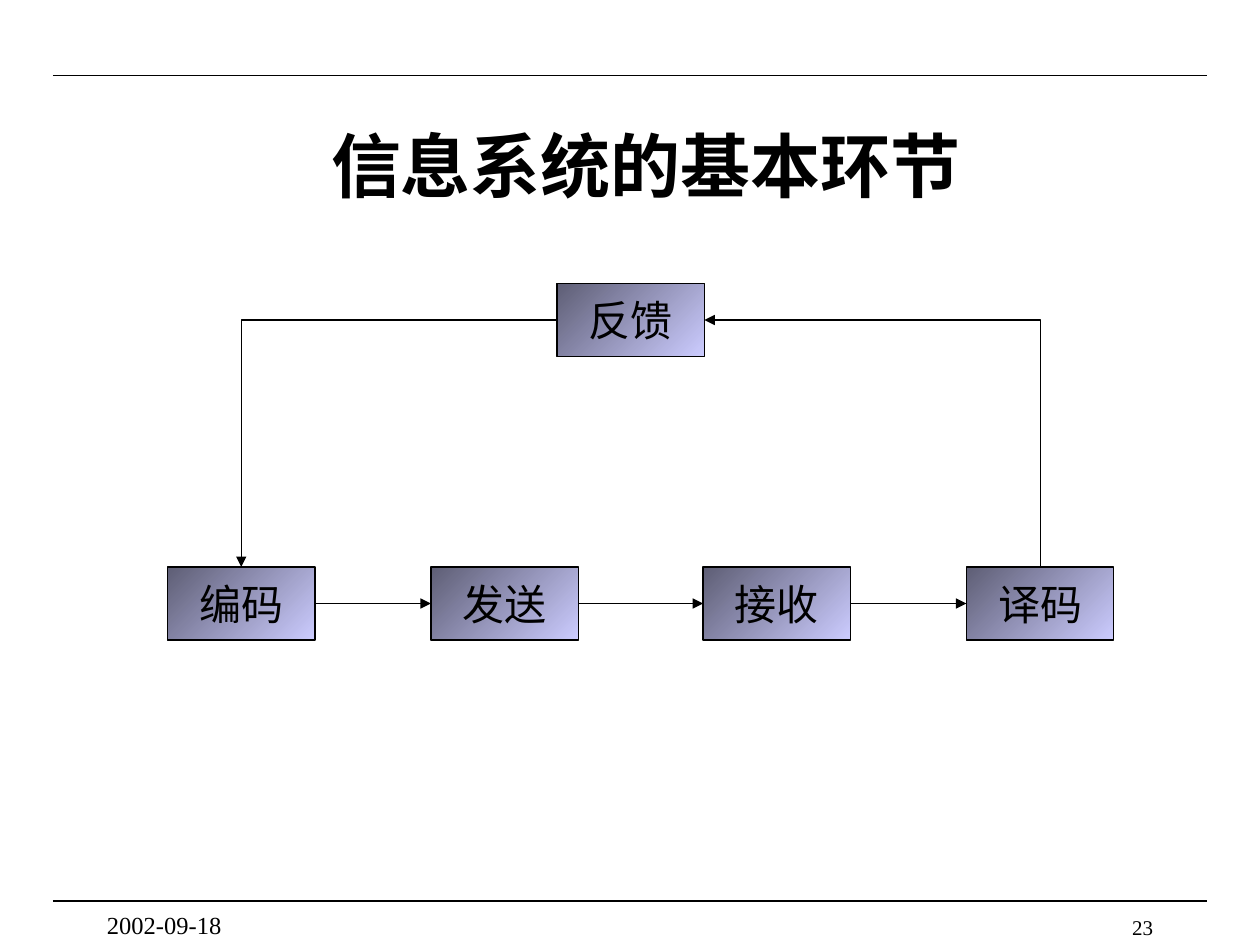
from pptx import Presentation
from pptx.dml.color import RGBColor
from pptx.enum.shapes import MSO_CONNECTOR, MSO_SHAPE
from pptx.enum.text import MSO_ANCHOR, PP_ALIGN
from pptx.oxml.ns import qn
from pptx.util import Inches, Pt
from lxml.etree import SubElement

BLACK = RGBColor(0x00, 0x00, 0x00)
LILAC = RGBColor(0xCC, 0xCC, 0xFF)
SLATE = RGBColor(0x5E, 0x5E, 0x75)
FACE = "Times New Roman"
BOX_W, BOX_H = 1.17, 0.58
TOP_Y, LOW_Y = 2.25, 4.5
STEPS = [("编码", 1.33), ("发送", 3.42), ("接收", 5.58), ("译码", 7.67)]


def write(frame, text, size, align, bold=False):
    para = frame.paragraphs[0]
    para.text = text
    para.alignment = align
    look = {"name": FACE, "size": Pt(size), "bold": bold}
    for key, value in look.items():
        setattr(para.font, key, value)
    para.font.color.rgb = BLACK


def add_title(slide, text, left, top, width, height):
    title = slide.shapes.title
    place = {"left": left, "top": top, "width": width, "height": height}
    for key, value in place.items():
        setattr(title, key, Inches(value))
    title.text_frame.vertical_anchor = MSO_ANCHOR.MIDDLE
    write(title.text_frame, text, 40, PP_ALIGN.CENTER, True)


def add_note(slide, text, size, align, left, top, width, height):
    box = slide.shapes.add_textbox(*map(Inches, (left, top, width, height)))
    box.text_frame.word_wrap = True
    write(box.text_frame, text, size, align)


def add_step(slide, text, left, top):
    box = slide.shapes.add_shape(
        MSO_SHAPE.FLOWCHART_PROCESS, *map(Inches, (left, top, BOX_W, BOX_H)))
    box.shadow.inherit = False
    box.fill.gradient()
    box.fill.gradient_angle = 135
    for stop, color in zip(box.fill.gradient_stops, (LILAC, SLATE)):
        stop.color.rgb = color
    box.line.color.rgb = BLACK
    box.line.width = Pt(0.75)
    box.text_frame.word_wrap = False
    box.text_frame.vertical_anchor = MSO_ANCHOR.MIDDLE
    write(box.text_frame, text, 24, PP_ALIGN.CENTER)
    return box


def add_line(slide, start, end, arrow=False, kind=MSO_CONNECTOR.STRAIGHT):
    line = slide.shapes.add_connector(kind, *start, *end)
    line.line.color.rgb = BLACK
    line.line.width = Pt(0.75)
    props = line._element.spPr
    if arrow:
        SubElement(props.find(qn("a:ln")), qn("a:tailEnd"), type="triangle")
    SubElement(props, qn("a:effectLst"))
    return line


def add_bend(slide, start, end):
    """Draw an arrow with a single corner, running across and then down."""
    line = add_line(slide, start, end, True, MSO_CONNECTOR.ELBOW)
    line._element.spPr.find(qn("a:prstGeom")).set("prst", "bentConnector2")
    return line


def add_rise(slide, start, end):
    """Draw an arrow up and then left: a bend turned by 270 degrees."""
    mid_x, mid_y = (start[0] + end[0]) // 2, (start[1] + end[1]) // 2
    half_w, half_h = (start[1] - end[1]) // 2, (start[0] - end[0]) // 2
    line = add_bend(slide, (mid_x - half_w, mid_y + half_h),
                    (mid_x + half_w, mid_y - half_h))
    line._element.spPr.find(qn("a:xfrm")).set("rot", str(270 * 60000))


def side(box, site):
    """Give the middle of a side: 0 top, 1 left, 2 bottom, 3 right."""
    across, down = [(1, 0), (0, 1), (1, 2), (2, 1)][site]
    return box.left + box.width * across // 2, box.top + box.height * down // 2


def add_loop(slide):
    steps = [add_step(slide, text, left, LOW_Y) for text, left in STEPS]
    for one, two in zip(steps, steps[1:]):
        line = add_line(slide, side(one, 3), side(two, 1), True)
        line.begin_connect(one, 3)
        line.end_connect(two, 1)
    back = add_step(slide, "反馈", 4.42, TOP_Y)
    add_rise(slide, side(steps[-1], 0), side(back, 3))
    add_bend(slide, side(back, 1), side(steps[0], 0))


def main():
    deck = Presentation()
    deck.slide_width, deck.slide_height = Inches(10), Inches(7.5)
    slide = deck.slides.add_slide(deck.slide_layouts[5])
    for y in (0.6, 7.15):
        add_line(slide, (Inches(0.42), Inches(y)), (Inches(9.58), Inches(y)))
    add_title(slide, "信息系统的基本环节", 1.25, 0.92, 7.75, 0.77)
    add_loop(slide)
    add_note(slide, "23", 12, PP_ALIGN.RIGHT, 7.17, 7.21, 2.08, 0.17)
    add_note(slide, "2002-09-18", 14, PP_ALIGN.LEFT, 0.75, 7.17, 2.08, 0.25)
    deck.save("out.pptx")


if __name__ == "__main__":
    main()
